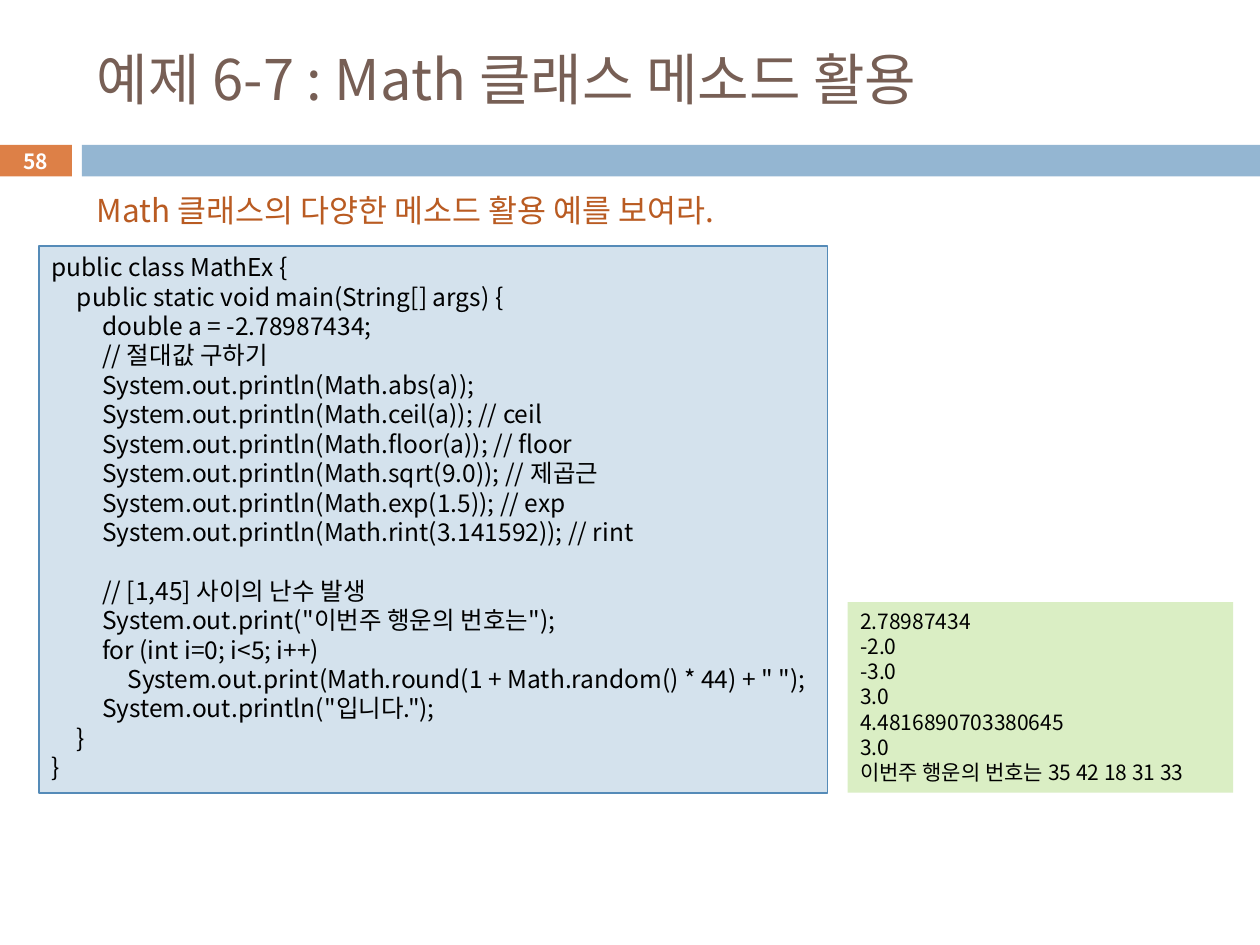
from pptx import Presentation
from pptx.dml.color import RGBColor
from pptx.enum.shapes import MSO_SHAPE
from pptx.enum.text import MSO_ANCHOR, PP_ALIGN
from pptx.oxml.ns import qn
from pptx.util import Cm, Pt
from lxml.etree import SubElement

BROWN = RGBColor(0x77, 0x5F, 0x55)
RUST = RGBColor(0xB9, 0x5B, 0x22)
ORANGE = RGBColor(0xDD, 0x80, 0x47)
BLUE = RGBColor(0x94, 0xB6, 0xD2)
PALE_BLUE = RGBColor(0xD4, 0xE2, 0xED)
EDGE_BLUE = RGBColor(0x55, 0x8B, 0xB8)
PALE_GREEN = RGBColor(0xDA, 0xEE, 0xC4)
BLACK = RGBColor(0, 0, 0)
WHITE = RGBColor(0xFF, 0xFF, 0xFF)

CODE = """public class MathEx {
\tpublic static void main(String[] args) {
\t\tdouble a = -2.78987434;
\t\t// 절대값 구하기
\t\tSystem.out.println(Math.abs(a));
\t\tSystem.out.println(Math.ceil(a)); // ceil
\t\tSystem.out.println(Math.floor(a)); // floor
\t\tSystem.out.println(Math.sqrt(9.0)); // 제곱근
\t\tSystem.out.println(Math.exp(1.5)); // exp
\t\tSystem.out.println(Math.rint(3.141592)); // rint

\t\t// [1,45] 사이의 난수 발생
\t\tSystem.out.print("이번주 행운의 번호는");
\t\tfor (int i=0; i<5; i++)
\t\t\tSystem.out.print(Math.round(1 + Math.random() * 44) + " ");
\t\tSystem.out.println("입니다.");
\t}
}"""

OUTPUT = """2.78987434
-2.0
-3.0
3.0
4.4816890703380645
3.0
이번주 행운의 번호는 35 42 18 31 33"""


class SlideBuilder:
    font = "Noto Sans CJK KR"
    line_factor = 1.2
    tab = Cm(0.51)

    def __init__(self, s):
        self.s = s

    def add_lines(self, tf, text, size, color, bold=False, align=PP_ALIGN.LEFT):
        """Fill a text frame with one paragraph per line of text."""
        for i, line in enumerate(text.split("\n")):
            p = tf.paragraphs[0] if i == 0 else tf.add_paragraph()
            p.alignment = align
            p.line_spacing = Pt(size * self.line_factor)
            depth = len(line) - len(line.lstrip("\t"))
            if depth:
                self.tab_stops(p, depth)
            p.font.size = Pt(size)
            if line:
                r = p.add_run()
                r.text = line
                r.font.name = self.font
                r.font.size = Pt(size)
                r.font.bold = bold
                r.font.color.rgb = color

    def tab_stops(self, p, count):
        tabs = SubElement(p._p.get_or_add_pPr(), qn("a:tabLst"))
        for n in range(1, count + 1):
            SubElement(tabs, qn("a:tab"), pos=str(n * self.tab), algn="l")

    def title(self, text, box):
        sp = self.s.shapes.title
        sp.left, sp.top, sp.width, sp.height = map(Cm, box)
        sp.text_frame.vertical_anchor = MSO_ANCHOR.MIDDLE
        self.add_lines(sp.text_frame, text, 32, BROWN)

    def rect(self, box, fill, line=None):
        sp = self.s.shapes.add_shape(MSO_SHAPE.RECTANGLE, *map(Cm, box))
        sp.shadow.inherit = False
        sp.fill.solid()
        sp.fill.fore_color.rgb = fill
        if line is None:
            sp.line.fill.background()
        else:
            sp.line.color.rgb = line
            sp.line.width = Pt(0.75)
        return sp

    def panel(self, text, box, size, fill, line=None, wrap=True):
        tf = self.rect(box, fill, line).text_frame
        tf.word_wrap = wrap
        tf.vertical_anchor = MSO_ANCHOR.TOP
        self.add_lines(tf, text, size, BLACK)

    def label(self, text, box, size, color):
        tf = self.s.shapes.add_textbox(*map(Cm, box)).text_frame
        tf.word_wrap = False
        self.add_lines(tf, text, size, color)

    def page_number(self, text, box):
        tf = self.rect(box, ORANGE).text_frame
        tf.margin_top = tf.margin_bottom = 0
        tf.vertical_anchor = MSO_ANCHOR.MIDDLE
        self.add_lines(tf, text, 12, WHITE, True, PP_ALIGN.CENTER)


def main():
    prs = Presentation()
    prs.slide_width, prs.slide_height = Cm(25.4), Cm(19.05)
    b = SlideBuilder(prs.slides.add_slide(prs.slide_layouts[5]))
    b.page_number("58", (-0.02, 2.92, 1.47, 0.64))
    b.rect((1.65, 2.92, 23.75, 0.64), BLUE)
    b.title("예제 6-7 : Math 클래스 메소드 활용", (1.7, 0.64, 22.66, 1.88))
    b.panel(CODE, (0.79, 4.96, 15.9, 11.03), 14, PALE_BLUE, EDGE_BLUE)
    b.label("Math 클래스의 다양한 메소드 활용 예를 보여라.",
            (1.7, 3.73, 14.25, 1.02), 18, RUST)
    b.panel(OUTPUT, (17.09, 12.14, 7.77, 3.84), 12, PALE_GREEN, wrap=False)
    prs.save("out.pptx")


if __name__ == "__main__":
    main()
